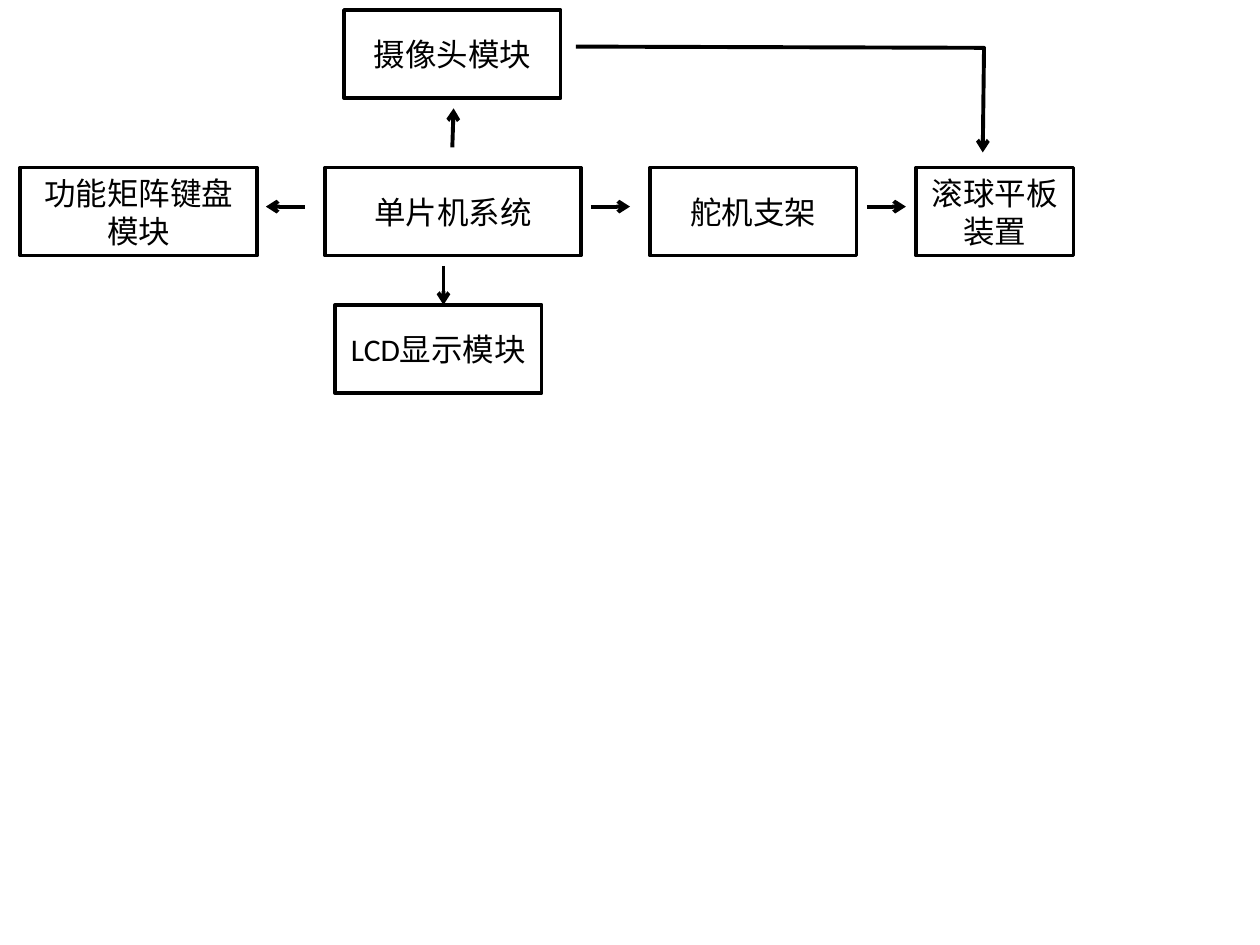
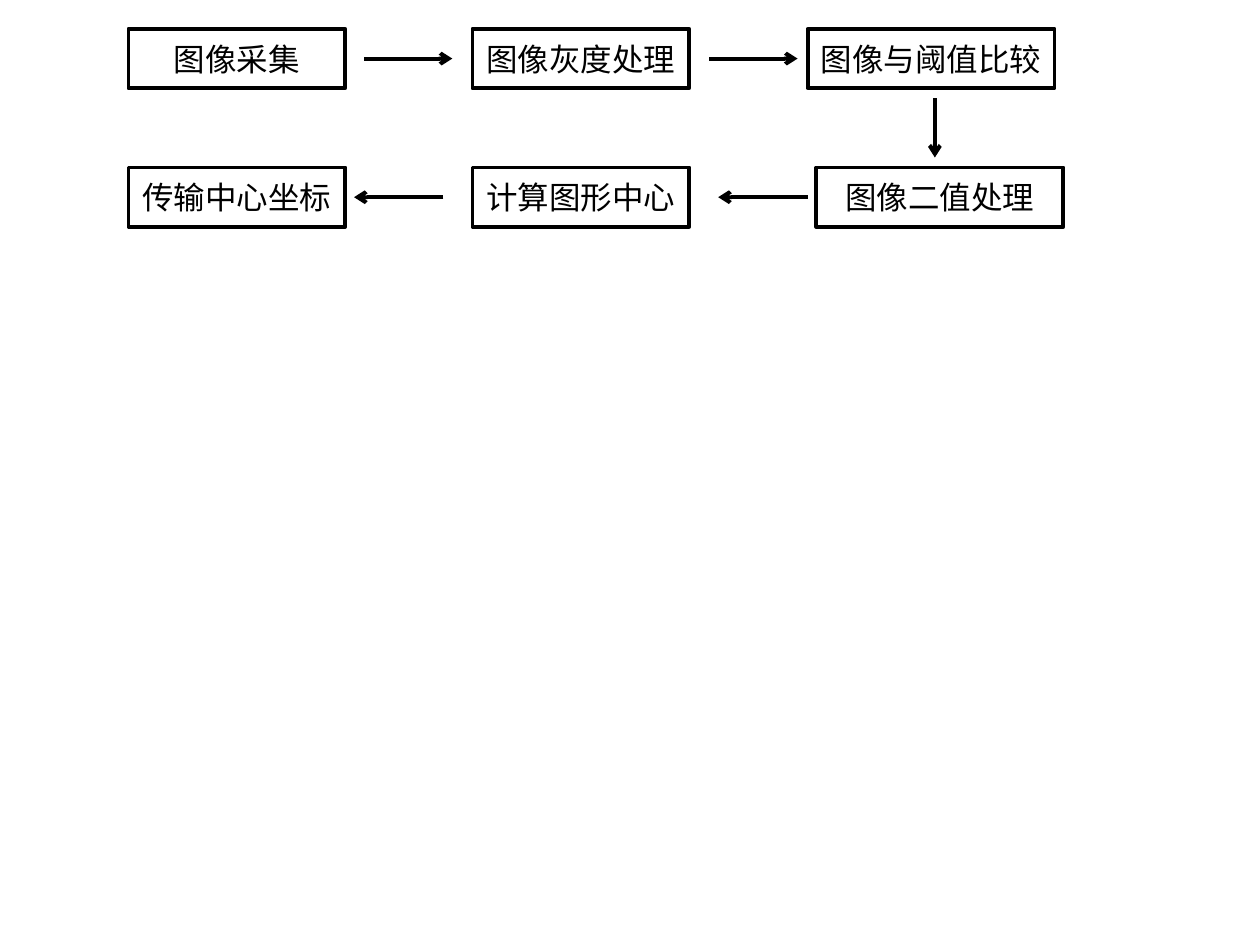
"""Build two block diagrams: the control system and the image processing flow."""
from lxml.etree import SubElement
from pptx import Presentation
from pptx.dml.color import RGBColor
from pptx.enum.shapes import MSO_CONNECTOR, MSO_SHAPE
from pptx.enum.text import MSO_ANCHOR, PP_ALIGN
from pptx.oxml.ns import qn
from pptx.util import Inches, Pt

BLACK = RGBColor(0x00, 0x00, 0x00)
FONT = "Calibri"
TEXT_SIZE = Pt(18)
ARROW_WIDTH = Pt(2.25)


def add_box(slide, text, left, top, width, height, line_width):
    shape = slide.shapes.add_shape(
        MSO_SHAPE.RECTANGLE, Inches(left), Inches(top), Inches(width), Inches(height))
    shape.shadow.inherit = False
    shape.fill.background()
    shape.line.color.rgb = BLACK
    shape.line.width = line_width
    shape.text_frame.word_wrap = True
    shape.text_frame.vertical_anchor = MSO_ANCHOR.MIDDLE
    paragraph = shape.text_frame.paragraphs[0]
    paragraph.alignment = PP_ALIGN.CENTER
    run = paragraph.add_run()
    run.text = text
    run.font.name = FONT
    run.font.size = TEXT_SIZE
    run.font.color.rgb = BLACK


def add_arrow(slide, *points):
    corners = [(Inches(x), Inches(y)) for x, y in points]
    if len(corners) == 2:
        arrow = slide.shapes.add_connector(MSO_CONNECTOR.STRAIGHT, *corners[0], *corners[1])
        SubElement(arrow._element.spPr, qn("a:effectLst"))
    else:
        builder = slide.shapes.build_freeform(*corners[0])
        builder.add_line_segments(corners[1:], close=False)
        arrow = builder.convert_to_shape()
        arrow.shadow.inherit = False
        arrow.fill.background()
    arrow.line.color.rgb = BLACK
    arrow.line.width = ARROW_WIDTH
    SubElement(arrow.line._get_or_add_ln(), qn("a:tailEnd"), type="arrow")


presentation = Presentation()
presentation.slide_width = Inches(10)
presentation.slide_height = Inches(7.5)
blank_layout = presentation.slide_layouts[6]

system_slide = presentation.slides.add_slide(blank_layout)
MODULE_HEIGHT = 0.7
CAMERA_TOP, CONTROL_TOP, DISPLAY_TOP = 0.08, 1.33, 2.42
modules = [
    ("单片机系统", 2.58, CONTROL_TOP, 2.03),
    ("摄像头模块", 2.73, CAMERA_TOP, 1.72),
    ("功能矩阵键盘模块", 0.16, CONTROL_TOP, 1.88),
    ("舵机支架", 5.16, CONTROL_TOP, 1.64),
    ("LCD显示模块", 2.66, DISPLAY_TOP, 1.64),
    ("滚球平板装置", 7.27, CONTROL_TOP, 1.25),
]
for text, left, top, width in modules:
    add_box(system_slide, text, left, top, width, MODULE_HEIGHT, Pt(2))

CONTROL_ARROW_Y = 1.64
for start, end in [(2.42, 2.11), (4.69, 5), (6.88, 7.19)]:
    add_arrow(system_slide, (start, CONTROL_ARROW_Y), (end, CONTROL_ARROW_Y))
add_arrow(system_slide, (3.59, 1.17), (3.6, 0.86))
add_arrow(system_slide, (3.52, 2.11), (3.52, DISPLAY_TOP))
add_arrow(system_slide, (4.57, 0.37), (7.81, 0.38), (7.8, 1.21))

image_slide = presentation.slides.add_slide(blank_layout)
STEP_HEIGHT = 0.47
NARROW, WIDE = 1.72, 1.96
step_rows = [
    (0.23,
     [("图像采集", 1.02, NARROW), ("图像灰度处理", 3.75, NARROW), ("图像与阈值比较", 6.41, WIDE)],
     [(2.89, 3.59), (5.63, 6.33)]),
    (1.33,
     [("传输中心坐标", 1.02, NARROW), ("计算图形中心", 3.75, NARROW), ("图像二值处理", 6.48, WIDE)],
     [(6.41, 5.7), (3.52, 2.81)]),
]
for top, steps, arrows in step_rows:
    for text, left, width in steps:
        add_box(image_slide, text, left, top, width, STEP_HEIGHT, Pt(2.25))
    middle = top + STEP_HEIGHT / 2
    for start, end in arrows:
        add_arrow(image_slide, (start, middle), (end, middle))
add_arrow(image_slide, (7.42, 0.78), (7.42, 1.25))

presentation.save("out.pptx")
